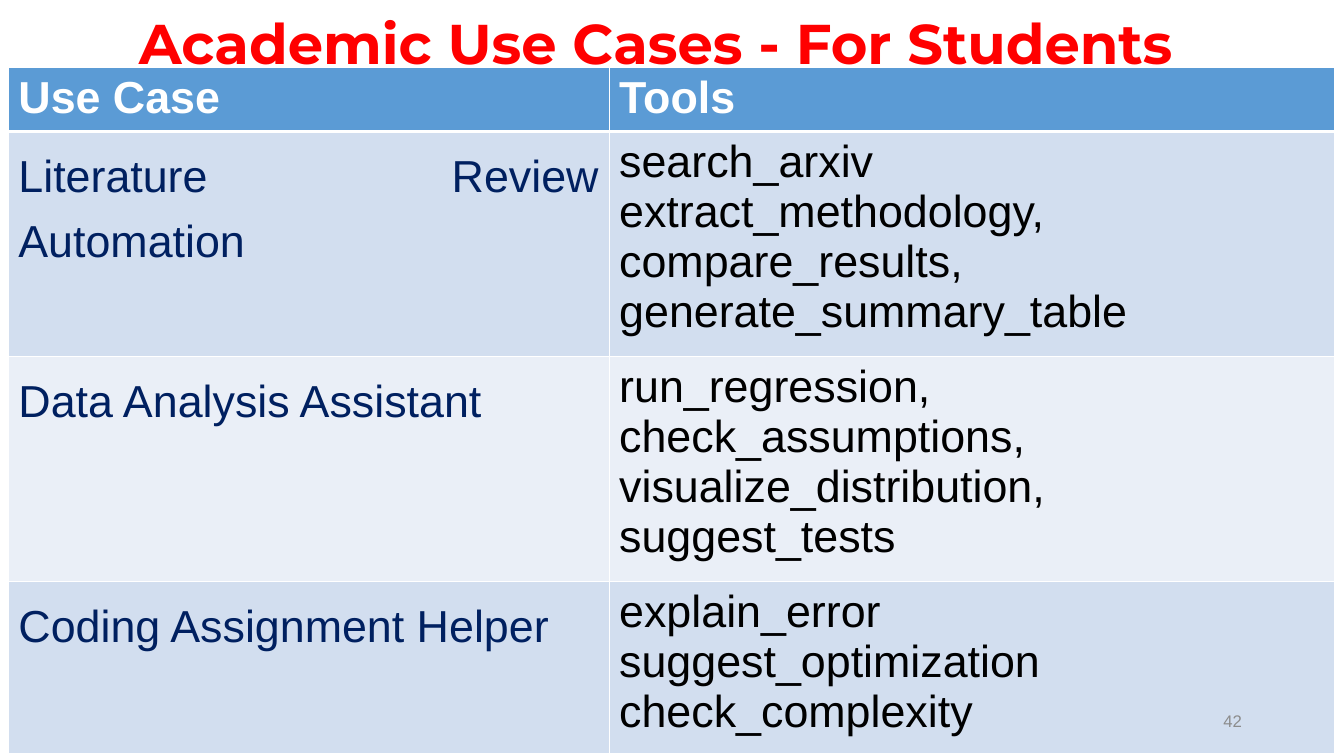
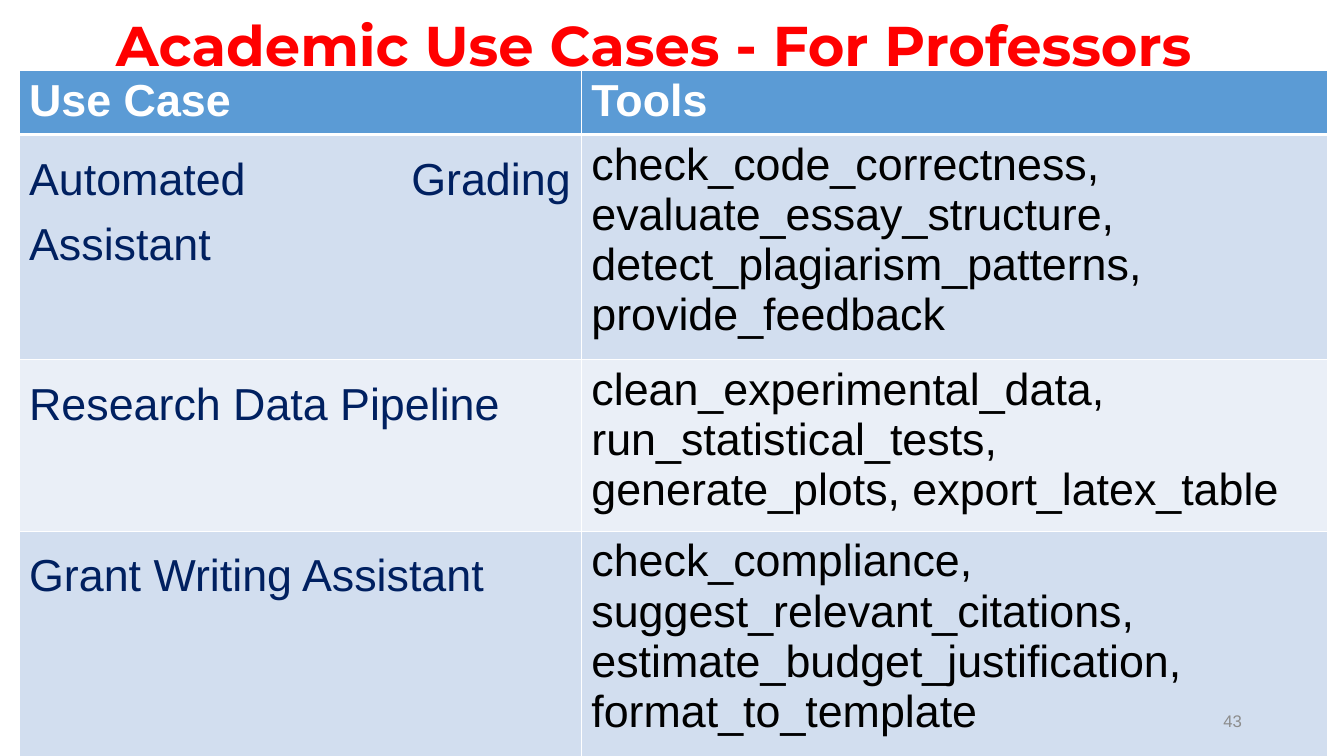
from lxml import etree
from pptx import Presentation
from pptx.dml.color import RGBColor
from pptx.enum.text import MSO_ANCHOR, PP_ALIGN
from pptx.oxml.ns import qn
from pptx.util import Cm, Pt

CENTER, RIGHT, JUSTIFY = PP_ALIGN.CENTER, PP_ALIGN.RIGHT, PP_ALIGN.JUSTIFY
MIDDLE = MSO_ANCHOR.MIDDLE

# Shared style
TITLE_FONT, BODY_FONT = "Montserrat", "Arial"
RED, NAVY, BLACK, WHITE, GRAY = "FF0000", "002060", "000000", "FFFFFF", "8C8C8C"
HEADER_FILL, BAND_FILLS = "5B9BD5", ("D2DEEF", "EAEFF7")
HEADINGS = ("Use Case", "Tools")
NUMBER_BOX = (23.93, 17.65, 7.62, 1.02)

# Slide content: boxes and sizes in centimetres
PAGES = [
    {
        "title": "Academic Use Cases - For Students",
        "title_box": (0.5, -0.05, 32.05, 2.44),
        "table_at": (0.21, 1.7),
        "columns": (15.14, 18.28),
        "rows": (1.6, 5.31, 5.31, 4.32),
        "number": "42",
        "cases": [
            ("Literature Review Automation",
             ["search_arxiv", "extract_methodology,", "compare_results,",
              "generate_summary_table"]),
            ("Data Analysis Assistant",
             ["run_regression,", "check_assumptions,",
              "visualize_distribution,", "suggest_tests"]),
            ("Coding Assignment Helper",
             ["explain_error", "suggest_optimization", "check_complexity"]),
        ],
    },
    {
        "title": "Academic Use Cases - For Professors",
        "title_box": (0.45, 0, 32.05, 2.44),
        "table_at": (0.48, 1.78),
        "columns": (14.17, 18.8),
        "rows": (1.6, 5.67, 4.32, 5.67),
        "number": "43",
        "cases": [
            ("Automated Grading Assistant",
             ["check_code_correctness,", "evaluate_essay_structure,",
              "detect_plagiarism_patterns, provide_feedback"]),
            ("Research Data Pipeline",
             ["clean_experimental_data,", "run_statistical_tests,",
              "generate_plots, export_latex_table"]),
            ("Grant Writing Assistant",
             ["check_compliance, suggest_relevant_citations, "
              "estimate_budget_justification, format_to_template"]),
        ],
    },
]


def color(value):
    return RGBColor.from_string(value)


def write(frame, lines, font, size, ink, bold=False, align=None, spacing=None):
    frame.text = "\n".join(lines)
    for para in frame.paragraphs:
        para.alignment = align
        para.line_spacing = spacing
        for span in para.runs:
            span.font.name = font
            span.font.size = Pt(size)
            span.font.bold = bold
            span.font.color.rgb = color(ink)


def add_label(page, box, text, **style):
    frame = page.shapes.add_textbox(*map(Cm, box)).text_frame
    frame.word_wrap = True
    frame.vertical_anchor = MIDDLE
    write(frame, [text], **style)


def set_borders(cell, top, bottom):
    properties = cell._tc.get_or_add_tcPr()
    widths = {"a:lnL": 1, "a:lnR": 1, "a:lnT": top, "a:lnB": bottom}
    for position, (tag, width) in enumerate(widths.items()):
        line = etree.Element(qn(tag), w=str(Pt(width)))
        fill = etree.SubElement(line, qn("a:solidFill"))
        etree.SubElement(fill, qn("a:srgbClr"), val=WHITE)
        properties.insert(position, line)


def add_case_table(page, origin, columns, rows, cases):
    left, top = origin
    table = page.shapes.add_table(
        len(rows), len(columns), Cm(left), Cm(top),
        Cm(sum(columns)), Cm(sum(rows))).table
    for column, width in zip(table.columns, columns):
        column.width = Cm(width)
    for row, height in zip(table.rows, rows):
        row.height = Cm(height)

    # Header row
    for index, heading in enumerate(HEADINGS):
        write(table.cell(0, index).text_frame, [heading],
              BODY_FONT, 32, WHITE, bold=True)

    # One row for each use case
    for index, (case, tools) in enumerate(cases, start=1):
        write(table.cell(index, 0).text_frame, [case],
              BODY_FONT, 32, NAVY, align=JUSTIFY, spacing=1.3)
        write(table.cell(index, 1).text_frame, tools, BODY_FONT, 32, BLACK)

    # Fills and borders, with a thick line under the header
    for index, row in enumerate(table.rows):
        for cell in row.cells:
            cell.fill.solid()
            cell.fill.fore_color.rgb = color(
                BAND_FILLS[(index - 1) % 2] if index else HEADER_FILL)
            set_borders(cell, top=3 if index == 1 else 1,
                        bottom=1 if index else 3)


def add_page(deck, content):
    page = deck.slides.add_slide(deck.slide_layouts[6])
    add_label(page, content["title_box"], content["title"], font=TITLE_FONT,
              size=40, ink=RED, bold=True, align=CENTER, spacing=0.9)
    add_case_table(page, content["table_at"], content["columns"],
                   content["rows"], content["cases"])
    add_label(page, NUMBER_BOX, content["number"], font=BODY_FONT,
              size=12, ink=GRAY, align=RIGHT)


def main():
    deck = Presentation()
    deck.slide_width, deck.slide_height = Cm(33.87), Cm(19.05)
    for content in PAGES:
        add_page(deck, content)
    deck.save("out.pptx")


if __name__ == "__main__":
    main()
